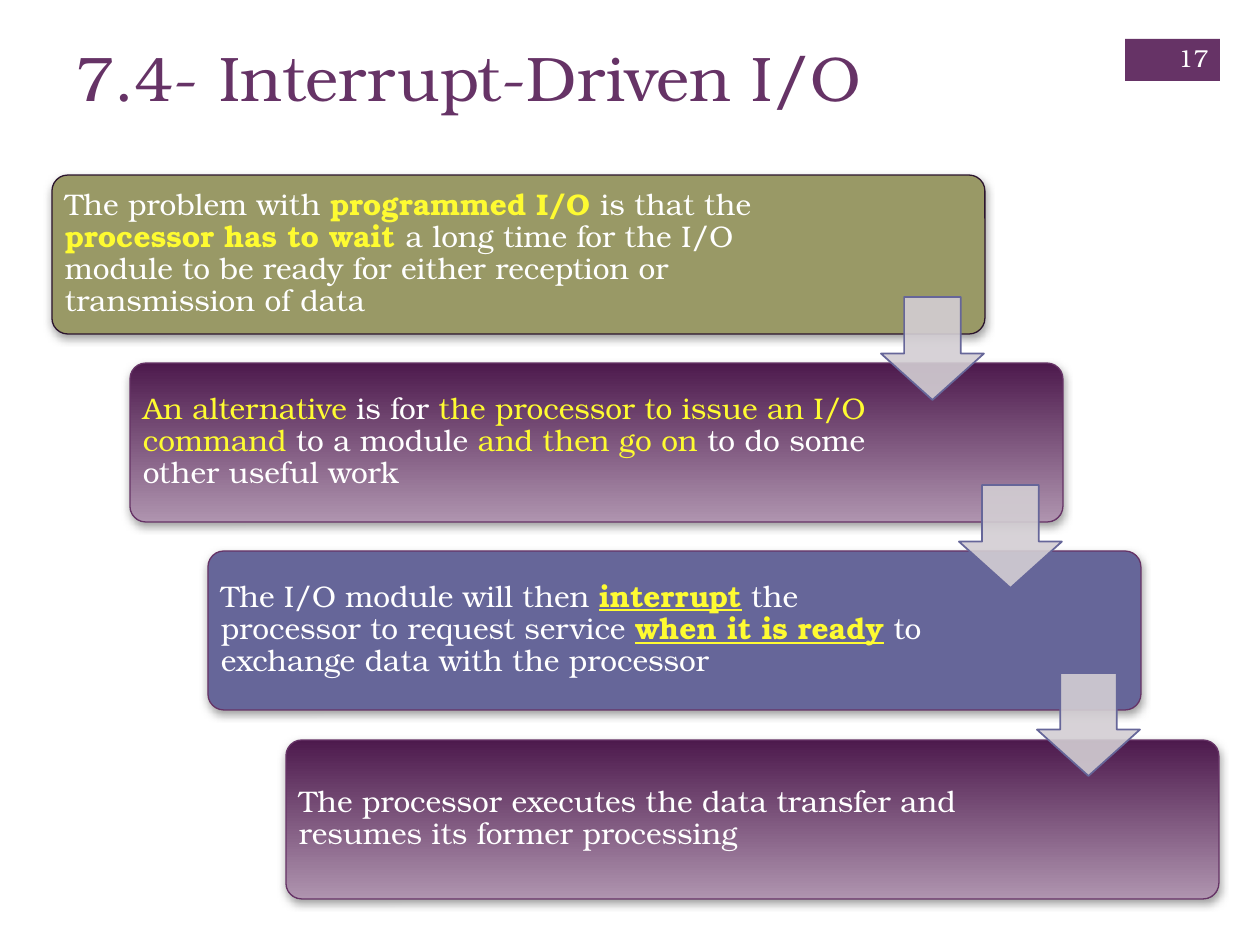
from lxml import etree
from pptx import Presentation
from pptx.dml.color import RGBColor
from pptx.enum.shapes import MSO_SHAPE
from pptx.enum.text import MSO_ANCHOR, PP_ALIGN
from pptx.oxml import parse_xml
from pptx.oxml.ns import qn
from pptx.util import Pt

RECT, ROUNDED, ARROW = MSO_SHAPE.RECTANGLE, MSO_SHAPE.ROUNDED_RECTANGLE, MSO_SHAPE.DOWN_ARROW
TOP, MIDDLE = MSO_ANCHOR.TOP, MSO_ANCHOR.MIDDLE
LEFT, RIGHT = PP_ALIGN.LEFT, PP_ALIGN.RIGHT

PX = 914400 / 126
FONT = "TeX Gyre Bonum"
PURPLE, WHITE, YELLOW = "663366", "FFFFFF", "FEFB31"
PLAIN, COLOURED, BOLD, UNDERLINED = range(4)
GRADIENT = ("4D1A4D", "AF94AF")
SHADOW = (
    '<a:effectLst xmlns:a="http://schemas.openxmlformats.org/drawingml/2006/main">'
    '<a:outerShdw blurRad="63500" dist="25400" dir="5400000" rotWithShape="0">'
    '<a:srgbClr val="808080"><a:alpha val="75000"/></a:srgbClr>'
    "</a:outerShdw></a:effectLst>"
)

# Fill, line colour, text width and text runs of each step
STEPS = [
    ("999966", "2B142D", 747, [
        ("The problem with ", PLAIN), ("programmed I/O ", BOLD),
        ("is that the ", PLAIN), ("processor has to wait ", BOLD),
        ("a long time for the I/O module to be ready for either reception "
         "or transmission of data", PLAIN)]),
    (GRADIENT, PURPLE, 741, [
        ("An alternative", COLOURED), (" is for ", PLAIN),
        ("the processor to issue an I/O command", COLOURED),
        (" to a module ", PLAIN), ("and then go on ", COLOURED),
        ("to do some other useful work", PLAIN)]),
    ("666699", PURPLE, 742, [
        ("The I/O module will then ", PLAIN), ("interrupt", UNDERLINED),
        (" the processor to request service ", PLAIN),
        ("when it is ready", UNDERLINED),
        (" to exchange data with the processor", PLAIN)]),
    (GRADIENT, PURPLE, 741, [
        ("The processor executes the data transfer and resumes its former "
         "processing", PLAIN)]),
]


def add_shape(kind, bounds, fill, line=None, line_width=0.75):
    """Add a shape without shadow; a pair of colours gives a gradient downwards."""
    shape = page.shapes.add_shape(kind, *(round(n * PX) for n in bounds))
    shape.shadow.inherit = False
    if isinstance(fill, tuple):
        shape.fill.gradient()
        shape.fill.gradient_angle = 270
        for stop, colour, position in zip(shape.fill.gradient_stops, fill, (0, 1)):
            stop.color.rgb = RGBColor.from_string(colour)
            stop.position = position
    else:
        shape.fill.solid()
        shape.fill.fore_color.rgb = RGBColor.from_string(fill)
    if line:
        shape.line.color.rgb = RGBColor.from_string(line)
        shape.line.width = Pt(line_width)
    else:
        shape.line.fill.background()
    return shape


def add_text(bounds, runs, size, colour, anchor, align=LEFT):
    """Add a text box with one paragraph of (text, style) runs."""
    box = page.shapes.add_textbox(*(round(n * PX) for n in bounds))
    frame = box.text_frame
    frame.word_wrap = True
    frame.vertical_anchor = anchor
    para = frame.paragraphs[0]
    para.alignment = align
    para.font.name = FONT
    para.font.size = Pt(size)
    for text, style in runs:
        span = para.add_run()
        span.text = text
        span.font.name = FONT
        span.font.size = Pt(size)
        span.font.color.rgb = RGBColor.from_string(colour if style == PLAIN else YELLOW)
        if style >= BOLD:
            span.font.bold = True
        if style == UNDERLINED:
            span.font.underline = True
    return frame


deck = Presentation()
deck.slide_width = round(1260 * PX)
deck.slide_height = round(945 * PX)
page = deck.slides.add_slide(deck.slide_layouts[6])

add_shape(RECT, (1125, 39, 95, 42), PURPLE)
add_text((63, 32, 1041, 154), [("7.4- Interrupt-Driven I/O", PLAIN)], 36, PURPLE, TOP)

# Each step sits lower and further right than the one before
corners = [(52 + 78 * i, 175 + 565 * i // 3) for i in range(len(STEPS))]
for (left, top), (fill, line, text_width, runs) in zip(corners, STEPS):
    card = add_shape(ROUNDED, (left, top, 933, 159), fill, line)
    card.adjustments[0] = 0.1
    properties = card.element.spPr
    properties.replace(properties.find(qn("a:effectLst")), parse_xml(SHADOW))
    frame = add_text((left + 4, top + 4, text_width, 150), runs, 17, WHITE, MIDDLE)
    frame.margin_left = frame.margin_right = round(9 * PX)
    frame.margin_top = frame.margin_bottom = round(9 * PX)
    frame.paragraphs[0].line_spacing = 0.9

for left, top in corners[:-1]:
    arrow = add_shape(ARROW, (left + 829, top + 122, 103, 103), "D3CED3", "666699", 1)
    arrow.adjustments[0] = 0.55
    arrow.adjustments[1] = 0.45
    colour = arrow.element.spPr.find(qn("a:solidFill"))[0]
    etree.SubElement(colour, qn("a:alpha"), val="90000")

add_text((1144, 33, 77, 50), [("17", PLAIN)], 14, WHITE, MIDDLE, RIGHT)

deck.save("out.pptx")
